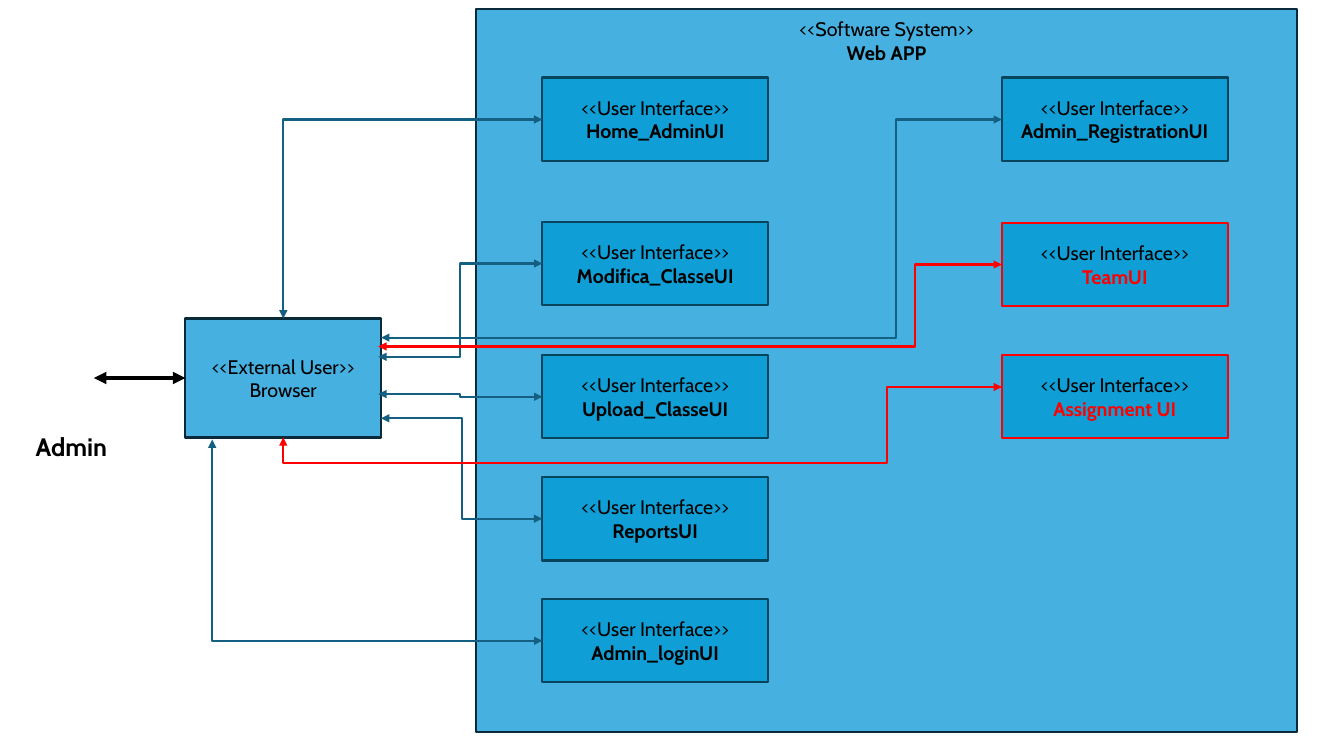
"""Build the component diagram of the admin's web application interfaces."""
import lxml.etree
import pptx
import pptx.dml.color
import pptx.enum.shapes
import pptx.enum.text
import pptx.oxml.ns
import pptx.util

Pt = pptx.util.Pt
RGBColor = pptx.dml.color.RGBColor
CONNECTOR = pptx.enum.shapes.MSO_CONNECTOR

BLACK = RGBColor(0x00, 0x00, 0x00)
RED = RGBColor(0xFF, 0x00, 0x00)
LIGHT_BLUE = RGBColor(0x46, 0xB1, 0xE1)
BRIGHT_BLUE = RGBColor(0x0F, 0x9E, 0xD5)
DARK_OUTLINE = RGBColor(0x09, 0x2A, 0x39)
INTERFACE_OUTLINE = RGBColor(0x07, 0x45, 0x5D)
ARROW_BLUE = RGBColor(0x15, 0x60, 0x82)

FONT = "Cabin"
INTERFACE_WIDTH, INTERFACE_HEIGHT = 161.3, 59.8
LEFT_COLUMN, RIGHT_COLUMN = 387.4, 715.7
BROWSER_LEFT, BROWSER_TOP, BROWSER_WIDTH, BROWSER_HEIGHT = 132.5, 227.5, 139.7, 85
BROWSER_RIGHT = BROWSER_LEFT + BROWSER_WIDTH
BROWSER_CENTER = BROWSER_LEFT + BROWSER_WIDTH / 2
BROWSER_MIDDLE = BROWSER_TOP + BROWSER_HEIGHT / 2

INTERFACES = [
    ("Home_AdminUI", LEFT_COLUMN, 55.4, False),
    ("Modifica_ClasseUI", LEFT_COLUMN, 158.4, False),
    ("Upload_ClasseUI", LEFT_COLUMN, 253.4, False),
    ("ReportsUI", LEFT_COLUMN, 340.6, False),
    ("Admin_loginUI", LEFT_COLUMN, 427.7, False),
    ("Admin_RegistrationUI", RIGHT_COLUMN, 55.4, False),
    ("TeamUI", RIGHT_COLUMN, 159.1, True),
    ("Assignment UI", RIGHT_COLUMN, 253.4, True),
]

ARROWS = [
    ((BROWSER_CENTER, BROWSER_TOP), (LEFT_COLUMN, 85.4), ARROW_BLUE, 2, []),
    ((270.2, 254.9), (LEFT_COLUMN, 188.3), ARROW_BLUE, 3, [0.5]),
    ((270.2, 281.5), (LEFT_COLUMN, 283.4), ARROW_BLUE, 3, [0.5]),
    ((BROWSER_RIGHT, 298.8), (LEFT_COLUMN, 370.5), ARROW_BLUE, 3, [0.5]),
    ((151.6, 313.9), (LEFT_COLUMN, 457.7), ARROW_BLUE, 3, [0]),
    ((BROWSER_RIGHT, 241.2), (RIGHT_COLUMN, 85.4), ARROW_BLUE, 3, [0.83]),
    ((270.2, 247.5), (RIGHT_COLUMN, 189), RED, 3, [0.86]),
    ((BROWSER_CENTER, BROWSER_TOP + BROWSER_HEIGHT), (RIGHT_COLUMN, 276.5),
     RED, 4, [-0.5, 0.84]),
]


def write_text(shape, first, second="", size=14, first_bold=False,
               second_bold=True, second_color=BLACK,
               anchor=pptx.enum.text.MSO_ANCHOR.MIDDLE):
    """Write one or two centred lines into a shape."""
    frame = shape.text_frame
    frame.word_wrap = True
    frame.vertical_anchor = anchor
    paragraph = frame.paragraphs[0]
    paragraph.alignment = pptx.enum.text.PP_ALIGN.CENTER
    lines = [(first, first_bold, BLACK), (second, second_bold, second_color)]
    for index, (text, bold, color) in enumerate(lines):
        if not text:
            continue
        if index:
            paragraph.add_line_break()
        run = paragraph.add_run()
        run.text = text
        run.font.name = FONT
        run.font.size = Pt(size)
        run.font.bold = bold
        run.font.color.rgb = color


def add_box(slide, left, top, width, height, fill, outline):
    """Add a filled rectangle with a thin outline."""
    shape = slide.shapes.add_shape(
        pptx.enum.shapes.MSO_SHAPE.RECTANGLE,
        Pt(left), Pt(top), Pt(width), Pt(height))
    shape.shadow.inherit = False
    shape.fill.solid()
    shape.fill.fore_color.rgb = fill
    shape.line.color.rgb = outline
    shape.line.width = Pt(1.5)
    return shape


def add_label(slide, left, top, width, height, first, second="", **text_format):
    """Add a text box anchored at its top."""
    label = slide.shapes.add_textbox(Pt(left), Pt(top), Pt(width), Pt(height))
    write_text(label, first, second, anchor=pptx.enum.text.MSO_ANCHOR.TOP,
               **text_format)


def add_arrow(slide, kind, start, end, color, width):
    """Add a connector with an arrowhead at both ends."""
    arrow = slide.shapes.add_connector(
        kind, *(Pt(length) for length in (*start, *end)))
    arrow.line.color.rgb = color
    arrow.line.width = Pt(width)
    line = arrow.line._get_or_add_ln()
    for name in ("a:headEnd", "a:tailEnd"):
        lxml.etree.SubElement(line, pptx.oxml.ns.qn(name), type="triangle")
    lxml.etree.SubElement(arrow._element.spPr, pptx.oxml.ns.qn("a:effectLst"))
    return arrow


def add_bent_arrow(slide, start, end, color, segments, adjustments):
    """Add an elbow arrow; one with an even segment count leaves vertically."""
    turned = segments % 2 == 0
    if turned:
        center_x, center_y = (start[0] + end[0]) / 2, (start[1] + end[1]) / 2
        half_width = abs(end[1] - start[1]) / 2
        half_height = abs(end[0] - start[0]) / 2
        start = center_x + half_width, center_y + half_height
        end = center_x - half_width, center_y - half_height
    arrow = add_arrow(slide, CONNECTOR.ELBOW, start, end, color, 1.5)
    properties = arrow._element.spPr
    if turned:
        properties.find(pptx.oxml.ns.qn("a:xfrm")).set("rot", "5400000")
    geometry = properties.find(pptx.oxml.ns.qn("a:prstGeom"))
    geometry.set("prst", f"bentConnector{segments}")
    guides = geometry.find(pptx.oxml.ns.qn("a:avLst"))
    for number, share in enumerate(adjustments, 1):
        lxml.etree.SubElement(guides, pptx.oxml.ns.qn("a:gd"), name=f"adj{number}",
                              fmla=f"val {round(share * 100000)}")


def add_interface(slide, name, left, top, highlighted):
    """Add one user interface box, red when highlighted."""
    box = add_box(slide, left, top, INTERFACE_WIDTH, INTERFACE_HEIGHT,
                  BRIGHT_BLUE, RED if highlighted else INTERFACE_OUTLINE)
    write_text(box, "<<User Interface>>", name,
               second_color=RED if highlighted else BLACK)


def main():
    """Build and save the slide."""
    presentation = pptx.Presentation()
    presentation.slide_width, presentation.slide_height = Pt(960), Pt(540)
    slide = presentation.slides.add_slide(presentation.slide_layouts[6])

    add_label(slide, 0, 304.6, 102, 30.2, "Admin", size=18, first_bold=True)
    browser = add_box(slide, BROWSER_LEFT, BROWSER_TOP, BROWSER_WIDTH,
                      BROWSER_HEIGHT, LIGHT_BLUE, DARK_OUTLINE)
    write_text(browser, "<<External User>>", "Browser", second_bold=False)
    admin_arrow = add_arrow(slide, CONNECTOR.STRAIGHT, (67, BROWSER_MIDDLE),
                            (BROWSER_LEFT, BROWSER_MIDDLE), BLACK, 3)
    admin_arrow.end_connect(browser, 1)

    add_box(slide, 339.8, 6.5, 586.8, 516.2, LIGHT_BLUE, DARK_OUTLINE)
    add_label(slide, 536.4, 8.6, 193.7, 46.8, "<<Software System>>", "Web APP")
    for interface in INTERFACES:
        add_interface(slide, *interface)
    for arrow in ARROWS:
        add_bent_arrow(slide, *arrow)

    presentation.save("out.pptx")


if __name__ == "__main__":
    main()
